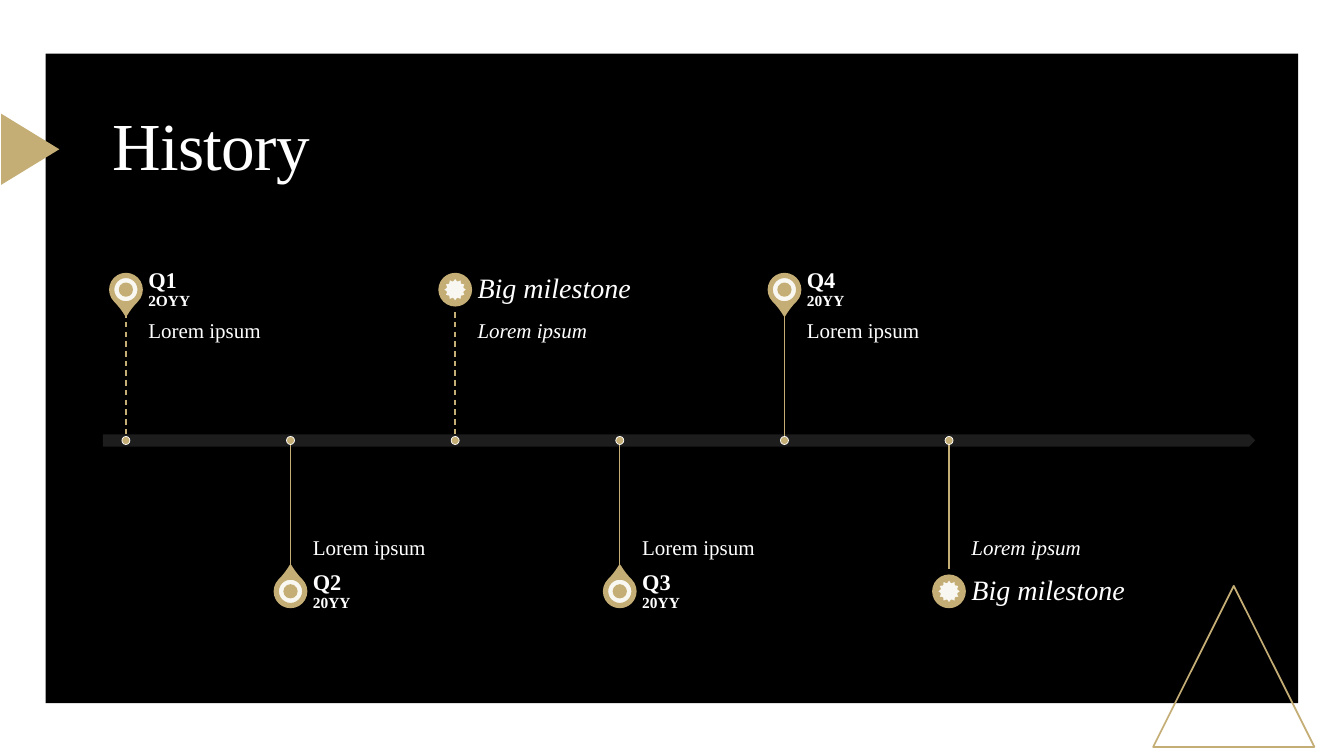
from dataclasses import dataclass

from lxml import etree
from pptx import Presentation
from pptx import util as u
from pptx.dml.color import RGBColor
from pptx.enum import dml, shapes, text
from pptx.oxml.ns import qn

BLACK = RGBColor(0x00, 0x00, 0x00)
WHITE = RGBColor(0xFF, 0xFF, 0xFF)
GOLD = RGBColor(0xC4, 0xAE, 0x75)
CHARCOAL = RGBColor(0x21, 0x21, 0x21)
FONT = "Times New Roman"
KIND = shapes.MSO_SHAPE
ANCHOR = text.MSO_ANCHOR
COLUMNS = 7
LABEL_SHARE = 0.13
STEM_SHARE = 0.37


@dataclass
class Box:
    """A rectangle measured in inches."""
    left: float
    top: float
    width: float
    height: float

    def inner(self, x, y, width, height):
        """Return the inner box given as shares of this one."""
        return Box(self.left + x * self.width, self.top + y * self.height,
                   width * self.width, height * self.height)

    def lengths(self):
        """Return left, top, width and height as slide lengths."""
        return [u.Inches(side) for side in (self.left, self.top, self.width, self.height)]


@dataclass
class Milestone:
    """One event on the timeline."""
    title: str
    year: str = ""
    dashed: bool = False

    @property
    def big(self):
        """Tell whether the event stands without a year."""
        return not self.year


MILESTONES = [
    Milestone("Q1", "2OYY", dashed=True),
    Milestone("Q2", "20YY"),
    Milestone("Big milestone", dashed=True),
    Milestone("Q3", "20YY"),
    Milestone("Q4", "20YY"),
    Milestone("Big milestone"),
]


def square(x, y, side):
    """Return a square box centred on a point."""
    return Box(x - side / 2, y - side / 2, side, side)


def add_shape(slide, kind, box, fill=None, line=None, weight=1.25, rotation=0, alpha=None):
    """Draw a flat preset shape."""
    shape = slide.shapes.add_shape(kind, *box.lengths())
    shape.shadow.inherit = False
    shape.rotation = rotation
    if fill is None:
        shape.fill.background()
    else:
        shape.fill.solid()
        shape.fill.fore_color.rgb = fill
    if alpha:
        color = shape._element.spPr.find(qn("a:solidFill"))[0]
        etree.SubElement(color, qn("a:alpha"), val=str(alpha * 1000))
    if line is None:
        shape.line.fill.background()
    else:
        shape.line.color.rgb = line
        shape.line.width = u.Pt(weight)
    return shape


def add_text(slide, box, runs, anchor, margins):
    """Write runs of (words, size, bold, italic), one to a line."""
    shape = slide.shapes.add_textbox(*box.lengths())
    frame = shape.text_frame
    frame.word_wrap = True
    frame.vertical_anchor = anchor
    (frame.margin_left, frame.margin_top,
     frame.margin_right, frame.margin_bottom) = [u.Inches(margin) for margin in margins]
    paragraph = frame.paragraphs[0]
    paragraph.line_spacing = 0.9
    for index, (words, size, bold, italic) in enumerate(runs):
        if index:
            paragraph.add_line_break()
            etree.SubElement(paragraph._p[-1], qn("a:rPr"), sz=str(size * 100))
        run = paragraph.add_run()
        run.text = words
        run.font.name = FONT
        run.font.size = u.Pt(size)
        run.font.bold = bold
        run.font.italic = italic
        run.font.color.rgb = WHITE
    return paragraph


def add_stem(slide, x, top, bottom, dashed):
    """Draw the upright line between a marker and the axis."""
    stem = slide.shapes.add_connector(
        shapes.MSO_CONNECTOR.STRAIGHT, *[u.Inches(end) for end in (x, top, x, bottom)])
    stem.line.color.rgb = GOLD
    stem.line.width = u.Pt(1)
    if dashed:
        stem.line.dash_style = dml.MSO_LINE.DASH
    etree.SubElement(stem._element.spPr, qn("a:effectLst"))


def add_backdrop(slide, box):
    """Draw the black panel and the two gold triangles."""
    add_shape(slide, KIND.RECTANGLE, box.inner(0.034, 0.071, 0.932, 0.859), BLACK)
    add_shape(slide, KIND.ISOSCELES_TRIANGLE, box.inner(0.858, 0.775, 0.12, 0.213), line=GOLD)
    add_shape(slide, KIND.ISOSCELES_TRIANGLE, box.inner(-0.004, 0.159, 0.053, 0.077),
              GOLD, rotation=90)


def add_title(slide, box):
    """Write the slide title."""
    paragraph = add_text(slide, box, [("History", 48, False, False)], ANCHOR.MIDDLE,
                         (0.1, 0.05, 0.1, 0.05))
    paragraph.runs[0].font._element.set("spc", "-50")


def add_marker(slide, x, y, side, above, big):
    """Draw a gold pin with its inner icon."""
    pin = add_shape(slide, KIND.OVAL if big else KIND.TEAR, square(x, y, side),
                    GOLD, GOLD, rotation=135 if above else 315)
    if not big:
        pin.adjustments[0] = 1.15
    add_shape(slide, KIND.STAR_12_POINT if big else KIND.DONUT,
              square(x, y, 0.78 * side), WHITE, GOLD, alpha=90)


def add_milestone(slide, box, milestone, above):
    """Place one event in its column, above or below the axis."""
    axis = box.top + box.height / 2
    x = box.left + 0.14 * box.width
    label = box.inner(0.276, 0 if above else 1 - LABEL_SHARE, 1.66, LABEL_SHARE)
    body = box.inner(0.276, LABEL_SHARE if above else 0.5, 1.66, STEM_SHARE)
    add_marker(slide, x, label.top + label.height / 2, 0.71 * label.height,
               above, milestone.big)
    add_text(slide, body, [("Lorem ipsum", 15, False, milestone.big)],
             ANCHOR.TOP if above else ANCHOR.BOTTOM,
             (0, 0.1, 0.1, 0.16) if above else (0, 0.16, 0, 0.1))
    if milestone.big:
        runs = [(milestone.title, 20, False, True)]
    else:
        runs = [(milestone.title, 16, True, False), (milestone.year, 11, True, False)]
    add_text(slide, label, runs, ANCHOR.MIDDLE, (0, 0, 0.1, 0))
    add_stem(slide, x, body.top, body.top + body.height, milestone.dashed)
    add_shape(slide, KIND.OVAL, square(x, axis, 0.08), GOLD, WHITE, 0.5)


def add_timeline(slide, box):
    """Draw the axis and its events, alternating above and below."""
    add_shape(slide, KIND.PENTAGON, box.inner(0, 0.4825, 1, 0.035), CHARCOAL, alpha=90)
    for index, milestone in enumerate(MILESTONES):
        column = box.inner(index / COLUMNS, 0, 1 / COLUMNS, 1)
        above = index % 2 == 0
        add_milestone(slide, column, milestone, above)


def main():
    """Build the history slide."""
    presentation = Presentation()
    page = Box(0, 0, 13.33, 7.5)
    presentation.slide_width, presentation.slide_height = page.lengths()[2:]
    slide = presentation.slides.add_slide(presentation.slide_layouts[6])
    add_backdrop(slide, page)
    add_timeline(slide, Box(1.02, 2.65, 11.43, 3.44))
    add_title(slide, Box(1.02, 0.98, 11.43, 1))
    presentation.save("out.pptx")


if __name__ == "__main__":
    main()
